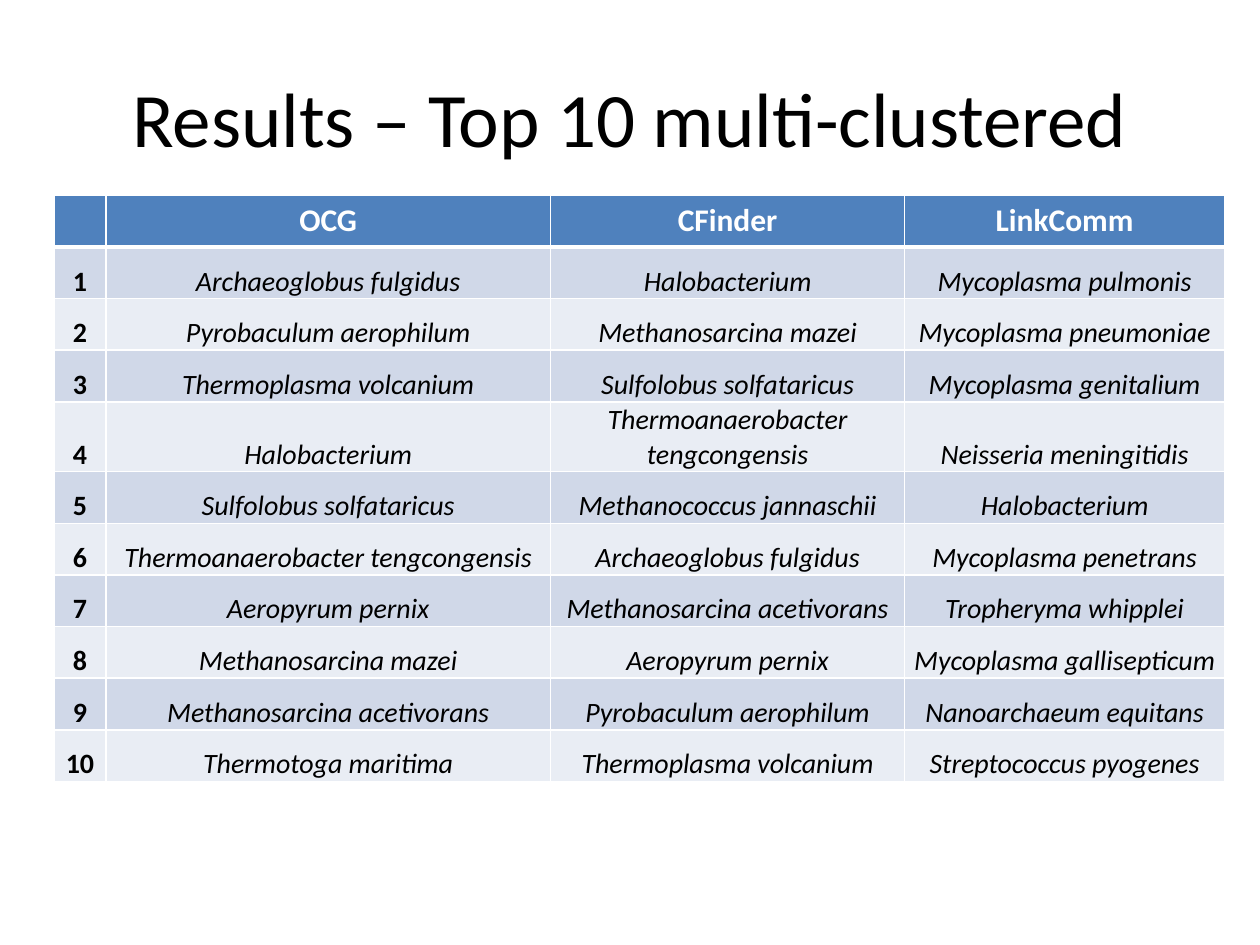
from pptx import Presentation
from pptx.dml.color import RGBColor
from pptx.enum.text import MSO_ANCHOR, PP_ALIGN
from pptx.oxml import parse_xml
from pptx.oxml.ns import nsdecls
from pptx.util import Inches, Pt

TITLE = "Results – Top 10 multi-clustered"
HEADER = ("", "OCG", "CFinder", "LinkComm")
SPECIES = [
    ("Archaeoglobus fulgidus", "Halobacterium", "Mycoplasma pulmonis"),
    ("Pyrobaculum aerophilum", "Methanosarcina mazei", "Mycoplasma pneumoniae"),
    ("Thermoplasma volcanium", "Sulfolobus solfataricus", "Mycoplasma genitalium"),
    ("Halobacterium", "Thermoanaerobacter tengcongensis", "Neisseria meningitidis"),
    ("Sulfolobus solfataricus", "Methanococcus jannaschii", "Halobacterium"),
    ("Thermoanaerobacter tengcongensis", "Archaeoglobus fulgidus", "Mycoplasma penetrans"),
    ("Aeropyrum pernix", "Methanosarcina acetivorans", "Tropheryma whipplei"),
    ("Methanosarcina mazei", "Aeropyrum pernix", "Mycoplasma gallisepticum"),
    ("Methanosarcina acetivorans", "Pyrobaculum aerophilum", "Nanoarchaeum equitans"),
    ("Thermotoga maritima", "Thermoplasma volcanium", "Streptococcus pyogenes"),
]
COL_WIDTHS = (0.41, 3.53, 2.81, 2.54)
ROW_HEIGHT = 0.41
FONT = "Calibri"
WHITE, BLACK, BLUE = "FFFFFF", "000000", "4F81BD"
BANDS = ("E9EDF4", "D0D8E8")


def rgb(value):
    """Turn a hex string into a colour."""
    return RGBColor.from_string(value)


def style_text(p, size, color, bold=False, italic=False):
    """Centre a paragraph and set its font."""
    p.alignment = PP_ALIGN.CENTER
    font = p.font
    font.name, font.size, font.bold, font.italic = FONT, Pt(size), bold, italic
    font.color.rgb = rgb(color)


def add_borders(cell, top, bottom):
    """Draw white borders; top and bottom are widths in points."""
    tc_pr = cell._tc.get_or_add_tcPr()
    for side, width in (("L", 1), ("R", 1), ("T", top), ("B", bottom)):
        tc_pr.append(parse_xml(
            f'<a:ln{side} {nsdecls("a")} w="{Pt(width)}"><a:solidFill>'
            f'<a:srgbClr val="{WHITE}"/></a:solidFill></a:ln{side}>'))


def fill_cell(cell, text, row, col):
    """Write and format one table cell."""
    is_header = row == 0
    add_borders(cell, 3 if row == 1 else 1, 3 if is_header else 1)
    cell.fill.solid()
    cell.fill.fore_color.rgb = rgb(BLUE if is_header else BANDS[row % 2])
    cell.text = text
    p = cell.text_frame.paragraphs[0]
    if is_header:
        style_text(p, 18, WHITE, bold=True)
        return
    style_text(p, 16, BLACK, bold=col == 0, italic=col > 0)
    cell.vertical_anchor = MSO_ANCHOR.BOTTOM
    cell.margin_left = cell.margin_right = cell.margin_top = Inches(0.01)
    cell.margin_bottom = 0


prs = Presentation()
prs.slide_width, prs.slide_height = Inches(10), Inches(7.5)
s = prs.slides.add_slide(prs.slide_layouts[5])

title = s.shapes.title
title.left, title.top = Inches(0.5), Inches(0.3)
title.width, title.height = Inches(9), Inches(1.25)
title.text_frame.text = TITLE
title.text_frame.vertical_anchor = MSO_ANCHOR.MIDDLE
style_text(title.text_frame.paragraphs[0], 44, BLACK)

rows = [HEADER] + [(str(rank), *names) for rank, names in enumerate(SPECIES, 1)]
table = s.shapes.add_table(
    len(rows), len(HEADER), Inches(0.43), Inches(1.55),
    Inches(sum(COL_WIDTHS)), Inches(ROW_HEIGHT * len(rows))).table
for column, width in zip(table.columns, COL_WIDTHS):
    column.width = Inches(width)
for r, values in enumerate(rows):
    table.rows[r].height = Inches(ROW_HEIGHT)
    for c, text in enumerate(values):
        fill_cell(table.cell(r, c), text, r, c)

prs.save("out.pptx")
